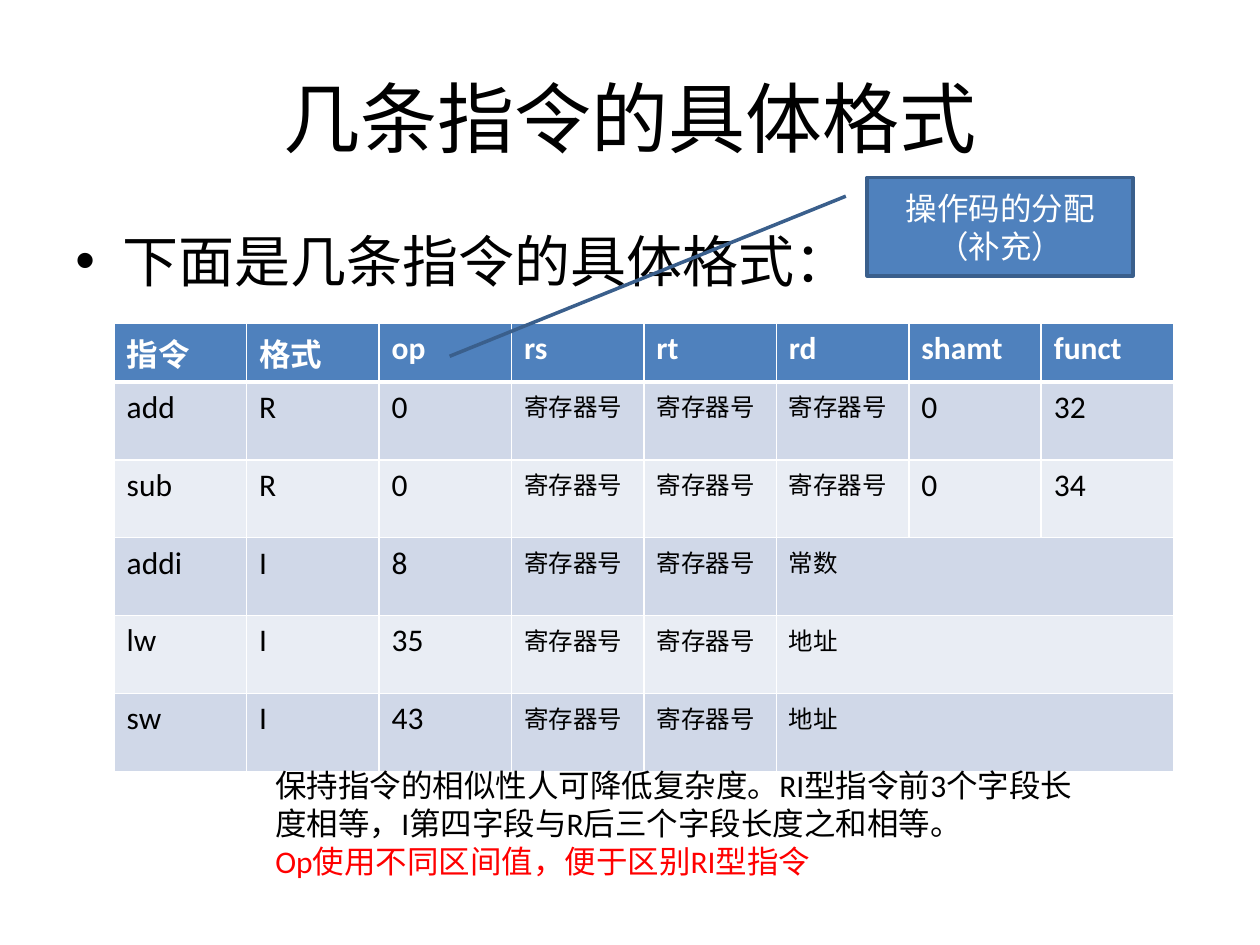
from lxml.etree import SubElement as Sub
from pptx import Presentation
from pptx.dml.color import RGBColor
from pptx.enum.shapes import MSO_SHAPE as Kind
from pptx.enum.text import MSO_ANCHOR as Anchor, PP_ALIGN as Align
from pptx.oxml.ns import qn
from pptx.util import Cm, Pt

BLACK, WHITE, BLUE, RED = "000000", "FFFFFF", "4F81BD", "FF0000"
EDGE, BANDS = "3A5F8C", ("D0D8E8", "E9EDF4")
REG = "寄存器号"
HEAD = ["指令", "格式", "op", "rs", "rt", "rd", "shamt", "funct"]
ROWS = [
    ["add", "R", "0", REG, REG, REG, "0", "32"],
    ["sub", "R", "0", REG, REG, REG, "0", "34"],
    ["addi", "I", "8", REG, REG, "常数"],
    ["lw", "I", "35", REG, REG, "地址"],
    ["sw", "I", "43", REG, REG, "地址"],
]


def color(code):
    return RGBColor.from_string(code)


class Deck:
    """Holds the font and the current slide, and draws each kind of element."""

    def __init__(self, font):
        self.font = font
        self.show = Presentation()
        self.show.slide_width, self.show.slide_height = Cm(25.4), Cm(19.05)
        self.slide = self.show.slides.add_slide(self.show.slide_layouts[6])

    def style(self, para, size, code, bold=False):
        for run in para.runs:
            font = run.font
            font.name, font.size, font.bold = self.font, Pt(size), bold
            font.color.rgb = color(code)

    def text(self, box, lines, size, align=Align.LEFT, anchor=Anchor.TOP):
        shape = self.slide.shapes.add_textbox(*map(Cm, box))
        frame = shape.text_frame
        frame.word_wrap, frame.vertical_anchor = True, anchor
        frame.text = "\n".join(line for line, _ in lines)
        for para, (_, code) in zip(frame.paragraphs, lines):
            para.alignment = align
            self.style(para, size, code)
        return frame

    def bullet(self, box, line, size):
        para = self.text(box, [(line, BLACK)], size).paragraphs[0]
        props = para._p.get_or_add_pPr()
        props.set("marL", str(Cm(0.95)))
        props.set("indent", str(-Cm(0.95)))
        Sub(props, qn("a:buFont"), typeface="Arial")
        Sub(props, qn("a:buChar"), char="•")

    def callout(self, box, line, size, points):
        shape = self.slide.shapes.add_shape(Kind.LINE_CALLOUT_1, *map(Cm, box))
        shape.shadow.inherit = False
        for i, value in enumerate(points):
            shape.adjustments[i] = value
        shape.fill.solid()
        shape.fill.fore_color.rgb = color(BLUE)
        shape.line.color.rgb, shape.line.width = color(EDGE), Pt(2)
        frame = shape.text_frame
        frame.word_wrap, frame.vertical_anchor = True, Anchor.MIDDLE
        frame.text = line
        frame.paragraphs[0].alignment = Align.CENTER
        self.style(frame.paragraphs[0], size, WHITE)

    def cell(self, cell, fill, low):
        props = cell._tc.get_or_add_tcPr()
        for side, width in zip("LRTB", (1, 1, 1, low)):
            line = Sub(props, qn("a:ln" + side), w=str(Pt(width)))
            Sub(Sub(line, qn("a:solidFill")), qn("a:srgbClr"), val=WHITE)
        cell.fill.solid()
        cell.fill.fore_color.rgb = color(fill)

    def table(self, left, top, wide, head, tall):
        size = len(ROWS) + 1, len(HEAD)
        full = wide * len(HEAD), head + tall * len(ROWS)
        grid = self.slide.shapes.add_table(*size, *map(Cm, (left, top, *full))).table
        for col in grid.columns:
            col.width = Cm(wide)
        for r, words in enumerate([HEAD] + ROWS):
            grid.rows[r].height = Cm(tall if r else head)
            fill = BANDS[(r - 1) % 2] if r else BLUE
            for c in range(len(HEAD)):
                self.cell(grid.cell(r, c), fill, 1 if r else 3)
            last = len(words) - 1
            if last < len(HEAD) - 1:
                grid.cell(r, last).merge(grid.cell(r, len(HEAD) - 1))
            for c, word in enumerate(words):
                cell = grid.cell(r, c)
                cell.text_frame.text = word
                small = r and 3 <= c <= 5
                self.style(cell.text_frame.paragraphs[0], 14 if small else 18,
                           BLACK if r else WHITE, not r)


def main():
    deck = Deck("Calibri")
    deck.text((1.27, 0.76, 22.86, 3.18), [("几条指令的具体格式", BLACK)], 44,
              Align.CENTER, Anchor.MIDDLE)
    deck.bullet((1.27, 4.45, 22.86, 1.88), "下面是几条指令的具体格式：", 32)
    deck.table(2.3, 6.52, 2.67, 1.18, 1.57)
    deck.text((5.3, 15.32, 16.8, 2.57), [
        ("保持指令的相似性人可降低复杂度。RI型指令前3个字段长度相等，"
         "I第四字段与R后三个字段长度之和相等。", BLACK),
        ("Op使用不同区间值，便于区别RI型指令", RED)], 18)
    deck.callout((17.48, 3.58, 5.36, 1.98), "操作码的分配（补充）", 18,
                 (0.19, -0.08, 1.82, -1.57))
    deck.show.save("out.pptx")


if __name__ == "__main__":
    main()
